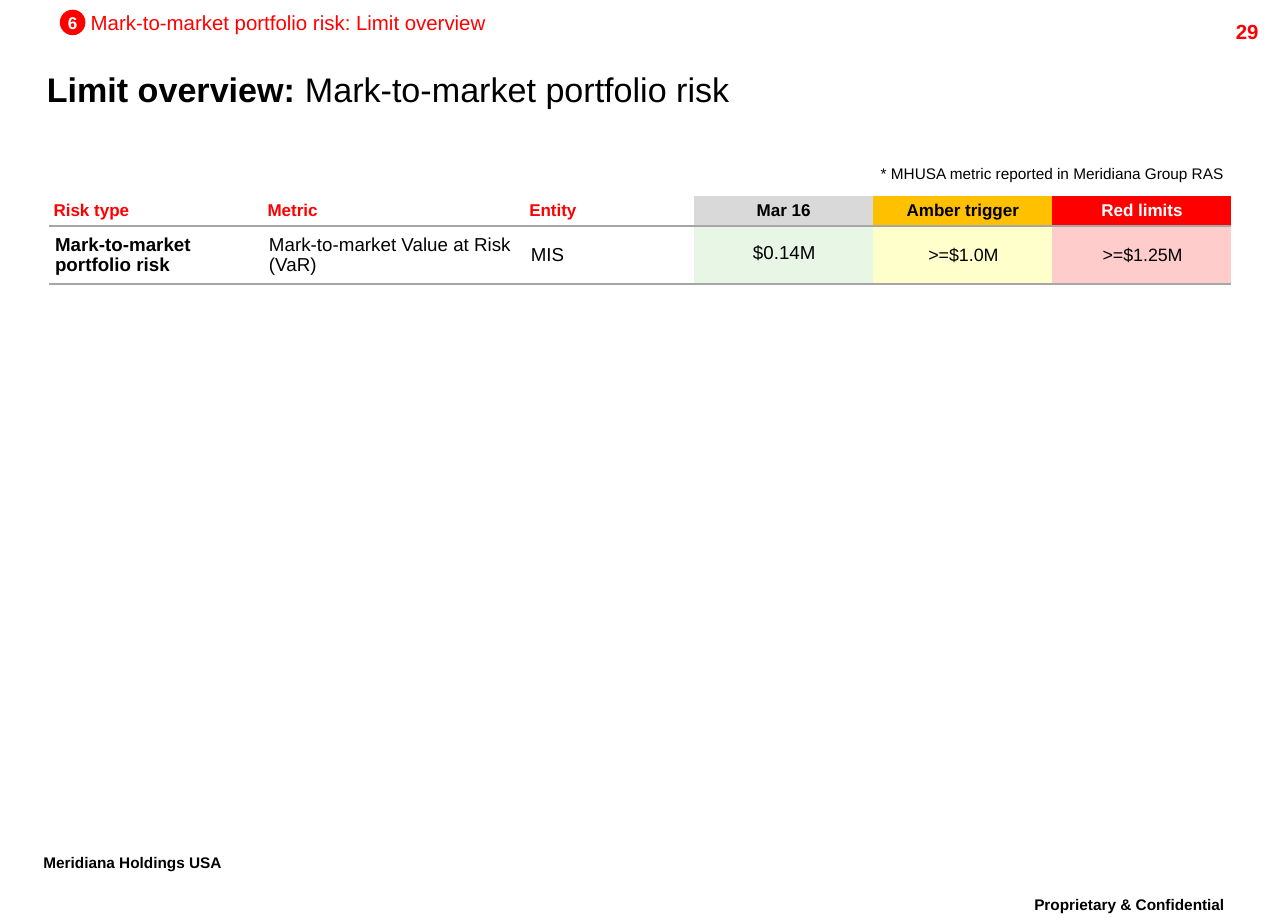
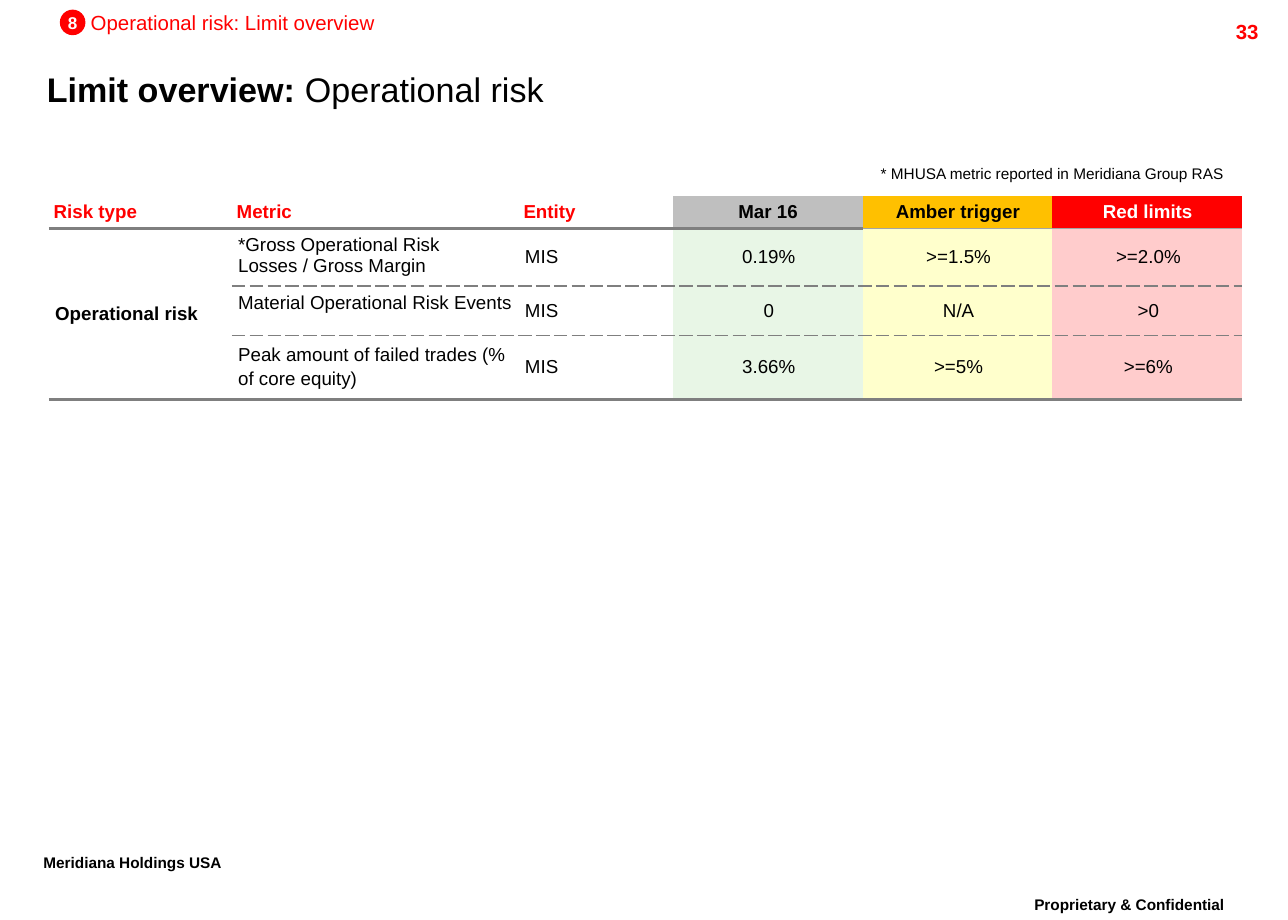
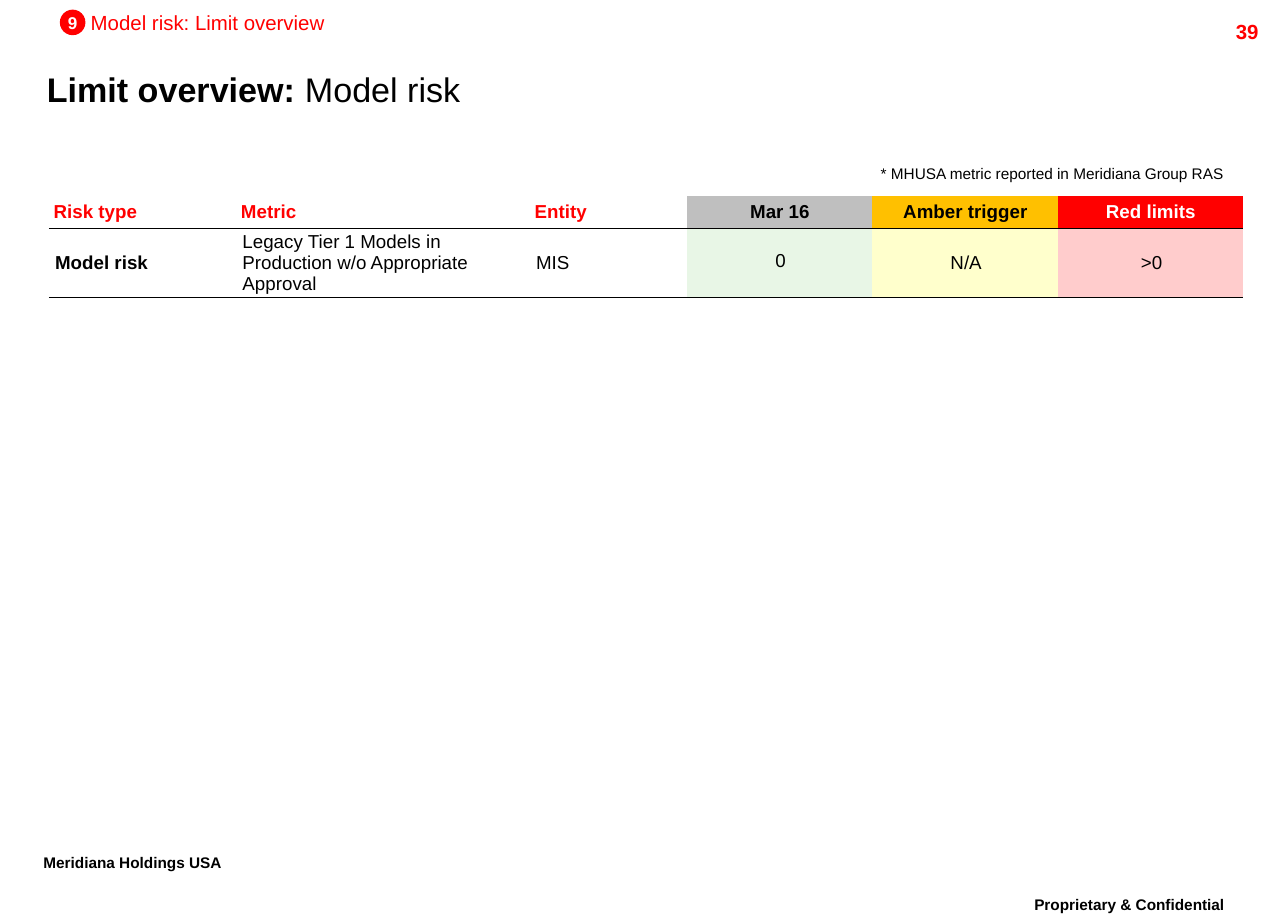
from lxml import etree
from pptx import Presentation
from pptx.dml.color import RGBColor
from pptx.enum import shapes, text
from pptx.oxml import ns
from pptx.util import Cm, Pt

# Shared style
FONT = "Arial"
RED, BLACK, WHITE, GREY = "FF0000", "000000", "FFFFFF", "7F7F7F"
LEFT, MID, RIGHT = text.PP_ALIGN.LEFT, text.PP_ALIGN.CENTER, text.PP_ALIGN.RIGHT
TOP, CENTRE = text.MSO_ANCHOR.TOP, text.MSO_ANCHOR.MIDDLE
PLAIN = "{2D5ABB26-0587-4C30-8999-92F81FD0307C}"  # no style, no grid

HEADS = ["Risk type", "Metric", "Entity", "Mar 16", "Amber trigger", "Red limits"]
INKS = [RED, RED, RED, BLACK, BLACK, WHITE]
TINTS = [None, None, None, "E8F6E6", "FFFFCC", "FFCCCC"]

# Rules under the rows: colour, width, dash
SOFT = ("A6A6A6", 1.5, "solid")
FIRM = (GREY, 1.5, "solid")
DASH = (GREY, 1, "sysDash")
THIN = ("A5A5A5", 1, "solid")
DARK = (BLACK, 1, "solid")

# Slide content; "odd" holds rules that differ from the rest of their row
PAGES = [
    dict(page="29", num="6", risk="Mark-to-market portfolio risk",
         cols=[4.43, 5.42, 3.5, 3.71, 3.71, 3.71], heights=[0.62, 1.2],
         head=10, grey="D9D9D9", anchor=CENTRE, rules=[SOFT, SOFT], odd={},
         gaps={(1, 3): Pt(10)}, sizes={(1, 4): 10.5, (1, 5): 10.5},
         rows=[["Mark-to-market portfolio risk", "Mark-to-market Value at Risk (VaR)",
                "MIS", "$0.14M", ">=$1.0M", ">=$1.25M"]]),
    dict(page="33", num="8", risk="Operational risk",
         cols=[3.79, 5.94, 3.19, 3.93, 3.93, 3.93], heights=[0.67, 1.19, 1.02, 1.32],
         head=11, grey="BFBFBF", anchor=TOP, rules=[FIRM, DASH, DASH, FIRM],
         odd={(0, 4): THIN, (0, 5): THIN, (1, 0): FIRM, (2, 0): None},
         gaps={(3, 1): 1.15}, sizes={},
         rows=[["Operational risk", "*Gross Operational Risk\vLosses / Gross Margin",
                "MIS", "0.19%", ">=1.5%", ">=2.0%"],
               ["", "Material Operational Risk Events", "MIS", "0", "N/A", ">0"],
               ["", "Peak amount of failed trades (% of core equity)",
                "MIS", "3.66%", ">=5%", ">=6%"]]),
    dict(page="39", num="9", risk="Model risk",
         cols=[3.88, 6.08, 3.25, 3.84, 3.84, 3.84], heights=[0.67, 1.43],
         head=11, grey="BFBFBF", anchor=CENTRE, rules=[DARK, DARK], odd={},
         gaps={(1, 3): Pt(10)}, sizes={},
         rows=[["Model risk", "Legacy Tier 1 Models in Production w/o Appropriate Approval",
                "MIS", "0", "N/A", ">0"]]),
]


def paint(target, tint):
    """Give a fill or a font colour a hex value."""
    target.rgb = RGBColor.from_string(tint)


def style(run, size, tint=BLACK, bold=False):
    run.font.name, run.font.size, run.font.bold = FONT, Pt(size), bold
    paint(run.font.color, tint)


def write(frame, words, size, tint=BLACK, bold=False, align=LEFT):
    frame.text = words
    para = frame.paragraphs[0]
    para.alignment = align
    for run in para.runs:
        style(run, size, tint, bold)


def trim(frame, wrap=True):
    frame.margin_left = frame.margin_right = frame.margin_top = frame.margin_bottom = 0
    frame.vertical_anchor, frame.word_wrap = CENTRE, wrap


def label(slide, box, words, size, tint=BLACK, bold=False, align=LEFT):
    frame = slide.shapes.add_textbox(*map(Cm, box)).text_frame
    trim(frame)
    write(frame, words, size, tint, bold, align)


def badge(slide, num):
    dot = slide.shapes.add_shape(shapes.MSO_SHAPE.OVAL, Cm(1.24), Cm(0.2), Cm(0.53), Cm(0.53))
    dot.shadow.inherit = False
    dot.fill.solid()
    paint(dot.fill.fore_color, RED)
    dot.line.fill.background()
    trim(dot.text_frame, False)
    write(dot.text_frame, num, 10, WHITE, True, MID)


def title(slide, risk):
    head = slide.shapes.title
    head.left, head.top, head.width, head.height = map(Cm, (0.97, 1.24, 24.08, 1.22))
    trim(head.text_frame)
    para = head.text_frame.paragraphs[0]
    para.alignment = LEFT
    for words, bold in (("Limit overview: ", True), (risk, False)):
        run = para.add_run()
        run.text = words
        style(run, 20, BLACK, bold)


def frame_page(slide, data):
    """Section marker, title, page number, note and footers."""
    title(slide, data["risk"])
    badge(slide, data["num"])
    label(slide, (1.88, 0.2, 15, 0.53), data["risk"] + ": Limit overview", 12, RED)
    label(slide, (24, 0.36, 2.06, 0.6), data["page"], 12, RED, True, RIGHT)
    label(slide, (16, 3.35, 9.33, 0.5), "* MHUSA metric reported in Meridiana Group RAS",
          9, align=RIGHT)
    label(slide, (0.9, 17.6, 8, 0.5), "Meridiana Holdings USA", 9, bold=True)
    label(slide, (17.35, 18.47, 8, 0.5), "Proprietary & Confidential", 9,
          bold=True, align=RIGHT)


def edge(cell, side, rule):
    if rule is None:
        return
    tint, width, dash = rule
    line = etree.SubElement(cell._tc.get_or_add_tcPr(), ns.qn("a:" + side), w=str(Pt(width)))
    fill = etree.SubElement(line, ns.qn("a:solidFill"))
    etree.SubElement(fill, ns.qn("a:srgbClr"), val=tint)
    etree.SubElement(line, ns.qn("a:prstDash"), val=dash)


def fill_cell(cell, tint):
    if tint is None:
        cell.fill.background()
    else:
        cell.fill.solid()
        paint(cell.fill.fore_color, tint)


def grid(slide, data):
    """Limit table: one heading row, then one row for each metric."""
    cols, heights = data["cols"], data["heights"]
    rows = [HEADS] + data["rows"]
    table = slide.shapes.add_table(len(rows), len(cols), Cm(1.01), Cm(4.06),
                                   Cm(sum(cols)), Cm(sum(heights))).table
    table._tbl.tblPr.find(ns.qn("a:tableStyleId")).text = PLAIN
    table.first_row = table.horz_banding = False
    for col, width in zip(table.columns, cols):
        col.width = Cm(width)
    for row, height in zip(table.rows, heights):
        row.height = Cm(height)
    if len(rows) > 2:
        table.cell(1, 0).merge(table.cell(len(rows) - 1, 0))

    def rule(r, c):
        return data["odd"].get((r, c), data["rules"][r])

    fills = [None, None, None, data["grey"], "FFC000", RED]
    for r, words in enumerate(rows):
        for c, word in enumerate(words):
            cell, top = table.cell(r, c), r == 0
            high = c == 1 and not top and data["anchor"] == TOP
            cell.margin_left = Cm(0.1 if top else 0.13)
            cell.margin_right = Cm(0.08)
            cell.margin_top = cell.margin_bottom = Cm(0.13 if high else 0)
            cell.vertical_anchor = TOP if high else CENTRE
            if r and not cell.is_spanned:
                edge(cell, "lnT", rule(r - 1, c))
            edge(cell, "lnB", rule(r, c))
            fill_cell(cell, (fills if top else TINTS)[c])
            if cell.is_spanned:
                continue
            size = data["head"] if top else data["sizes"].get((r, c), 11)
            write(cell.text_frame, word, size, INKS[c] if top else BLACK,
                  top or c == 0, MID if c > 2 else LEFT)
            if (r, c) in data["gaps"]:
                cell.text_frame.paragraphs[0].line_spacing = data["gaps"][r, c]


def main():
    deck = Presentation()
    deck.slide_width, deck.slide_height = Cm(26.67), Cm(19.05)
    for data in PAGES:
        slide = deck.slides.add_slide(deck.slide_layouts[5])
        frame_page(slide, data)
        grid(slide, data)
    deck.save("out.pptx")


if __name__ == "__main__":
    main()
